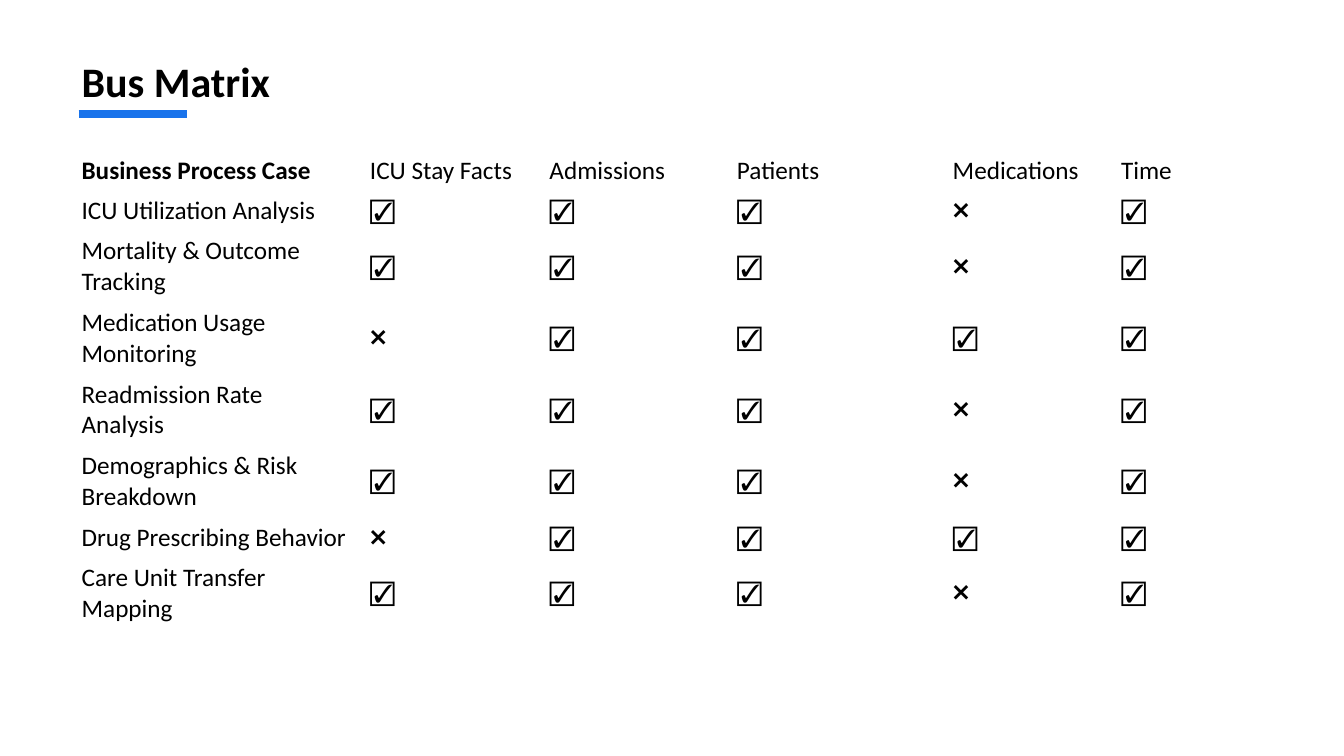
from dataclasses import dataclass

from lxml import etree
from pptx import Presentation
from pptx.dml.color import RGBColor
from pptx.enum.shapes import MSO_CONNECTOR
from pptx.enum.text import MSO_ANCHOR, MSO_AUTO_SIZE, PP_ALIGN
from pptx.oxml.ns import qn
from pptx.util import Inches, Pt

STRAIGHT = MSO_CONNECTOR.STRAIGHT
TOP, MIDDLE = MSO_ANCHOR.TOP, MSO_ANCHOR.MIDDLE
GROW = MSO_AUTO_SIZE.SHAPE_TO_FIT_TEXT
LEFT = PP_ALIGN.LEFT

BLACK = RGBColor(0x00, 0x00, 0x00)
BLUE = RGBColor(0x19, 0x73, 0xEB)
FONT = "Calibri"
TITLE_ONLY = 5

YES, NO = "☑️", "❌"
HEADINGS = ["Business Process Case", "ICU Stay Facts", "Admissions",
            "Patients", "Medications", "Time"]
COLUMN_WIDTHS = [2.86, 1.78, 1.86, 2.14, 1.67, 1.36, 0.28]
ONE_LINE, TWO_LINES = 0.4, 0.71


@dataclass(frozen=True)
class BusinessProcess:
    name: str
    icu_stays: bool = True
    medications: bool = False
    height: float = TWO_LINES

    def cells(self) -> list[str]:
        used = [self.icu_stays, True, True, self.medications, True]
        return [self.name] + [YES if u else NO for u in used]


PROCESSES = [
    BusinessProcess("ICU Utilization Analysis", height=ONE_LINE),
    BusinessProcess("Mortality & Outcome Tracking"),
    BusinessProcess("Medication Usage Monitoring", icu_stays=False, medications=True),
    BusinessProcess("Readmission Rate Analysis"),
    BusinessProcess("Demographics & Risk Breakdown"),
    BusinessProcess("Drug Prescribing Behavior", icu_stays=False, medications=True,
                    height=ONE_LINE),
    BusinessProcess("Care Unit Transfer Mapping"),
]


def format_paragraph(p, size: int, bold: bool) -> None:
    p.alignment = LEFT
    p.font.name = FONT
    p.font.size = Pt(size)
    p.font.bold = bold
    p.font.color.rgb = BLACK


def add_title(slide, text: str) -> None:
    sp = slide.shapes.title
    sp.left, sp.top = Inches(0.71), Inches(0.5)
    sp.width, sp.height = Inches(3), Inches(0.61)
    tf = sp.text_frame
    tf.text = text
    tf.word_wrap = True
    tf.auto_size = GROW
    tf.vertical_anchor = TOP
    format_paragraph(tf.paragraphs[0], 30, True)


def add_underline(slide) -> None:
    line = slide.shapes.add_connector(
        STRAIGHT, Inches(0.78), Inches(1.13), Inches(1.85), Inches(1.13))
    line.line.color.rgb = BLUE
    line.line.width = Pt(6)
    etree.SubElement(line._element.spPr, qn("a:effectLst"))


def add_matrix(slide) -> None:
    rows = [HEADINGS] + [process.cells() for process in PROCESSES]
    heights = [ONE_LINE] + [process.height for process in PROCESSES]
    table = slide.shapes.add_table(
        len(rows), len(COLUMN_WIDTHS), Inches(0.71), Inches(1.49),
        Inches(sum(COLUMN_WIDTHS)), Inches(sum(heights))).table
    table.first_row = table.horz_banding = False
    for column, width in zip(table.columns, COLUMN_WIDTHS):
        column.width = Inches(width)
    for row, height in zip(table.rows, heights):
        row.height = Inches(height)
    for cell in table.iter_cells():
        cell.fill.background()
        cell.vertical_anchor = MIDDLE
    for r, texts in enumerate(rows):
        for c, text in enumerate(texts):
            tf = table.cell(r, c).text_frame
            tf.text = text
            format_paragraph(tf.paragraphs[0], 18, r == c == 0)


def main() -> None:
    prs = Presentation()
    prs.slide_width, prs.slide_height = Inches(13.33), Inches(7.5)
    slide = prs.slides.add_slide(prs.slide_layouts[TITLE_ONLY])
    add_underline(slide)
    add_matrix(slide)
    add_title(slide, "Bus Matrix")
    prs.save("out.pptx")


if __name__ == "__main__":
    main()
